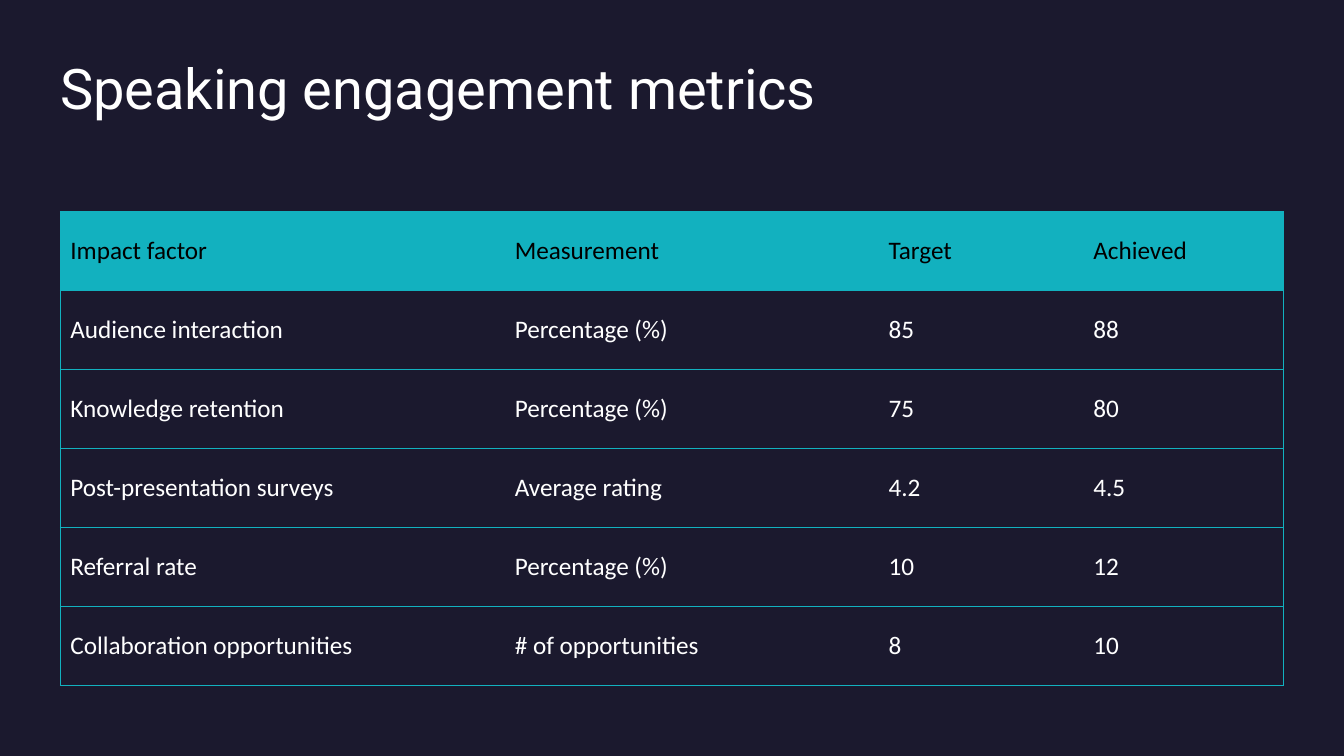
import pptx
import pptx.dml.color
import pptx.enum.text
import pptx.oxml
import pptx.oxml.ns
import pptx.util
from pptx.util import Cm

NAVY = pptx.dml.color.RGBColor(0x1B, 0x19, 0x2E)
TEAL = pptx.dml.color.RGBColor(0x12, 0xB1, 0xBF)
WHITE = pptx.dml.color.RGBColor(0xFF, 0xFF, 0xFF)
BLACK = pptx.dml.color.RGBColor(0x00, 0x00, 0x00)

LEFT, WIDTH = Cm(1.52), Cm(30.81)
COLUMN_WIDTHS = [Cm(11.2), Cm(9.42), Cm(5.16), Cm(5.03)]
ROW_HEIGHT = Cm(1.99)
BORDER_WIDTH = pptx.util.Pt(0.5)

METRICS = [
    ["Impact factor", "Measurement", "Target", "Achieved"],
    ["Audience interaction", "Percentage (%)", "85", "88"],
    ["Knowledge retention", "Percentage (%)", "75", "80"],
    ["Post-presentation surveys", "Average rating", "4.2", "4.5"],
    ["Referral rate", "Percentage (%)", "10", "12"],
    ["Collaboration opportunities", "# of opportunities", "8", "10"],
]


def set_format(target, values):
    for attribute, value in values.items():
        setattr(target, attribute, value)


def write_text(frame, text, size, font_name, color):
    run = frame.paragraphs[0].add_run()
    run.text = text
    set_format(run.font, {"size": pptx.util.Pt(size), "name": font_name, "bold": False})
    run.font.color.rgb = color


def add_title(slide, text):
    frame = slide.shapes.add_textbox(LEFT, Cm(1.55), WIDTH, Cm(3.3)).text_frame
    set_format(frame, {
        "word_wrap": True,
        "vertical_anchor": pptx.enum.text.MSO_ANCHOR.TOP,
        "margin_left": 0,
        "margin_right": 0,
        "margin_top": 0,
        "margin_bottom": 0,
    })
    write_text(frame, text, 40, "Roboto", WHITE)
    frame.paragraphs[0].line_spacing = 0.9


def set_borders(cell, visible_sides):
    properties = cell._tc.get_or_add_tcPr()
    for side in "LRTB":
        if side in visible_sides:
            paint = f'<a:solidFill><a:srgbClr val="{TEAL}"/></a:solidFill>'
        else:
            paint = "<a:noFill/>"
        properties.append(pptx.oxml.parse_xml(
            f'<a:ln{side} {pptx.oxml.ns.nsdecls("a")} w="{BORDER_WIDTH}">{paint}</a:ln{side}>'
        ))


def add_metrics_table(slide, rows):
    last_column = len(COLUMN_WIDTHS) - 1
    metrics = slide.shapes.add_table(
        len(rows), len(COLUMN_WIDTHS), LEFT, Cm(5.33), WIDTH, ROW_HEIGHT * len(rows)
    ).table
    metrics.horz_banding = False
    for column, width in zip(metrics.columns, COLUMN_WIDTHS):
        column.width = width
    for row_index, labels in enumerate(rows):
        metrics.rows[row_index].height = ROW_HEIGHT
        is_header = row_index == 0
        for column_index, label in enumerate(labels):
            cell = metrics.cell(row_index, column_index)
            cell.vertical_anchor = pptx.enum.text.MSO_ANCHOR.MIDDLE
            sides = "TB"
            if column_index == 0:
                sides += "L"
            if column_index == last_column:
                sides += "R"
            set_borders(cell, sides)
            if is_header:
                cell.fill.solid()
                cell.fill.fore_color.rgb = TEAL
            else:
                cell.fill.background()
            write_text(cell.text_frame, label, 18, "Calibri", BLACK if is_header else WHITE)


def main():
    deck = pptx.Presentation()
    set_format(deck, {"slide_width": Cm(33.87), "slide_height": Cm(19.05)})
    slide = deck.slides.add_slide(deck.slide_layouts[6])
    slide.background.fill.solid()
    slide.background.fill.fore_color.rgb = NAVY
    add_title(slide, "Speaking engagement metrics")
    add_metrics_table(slide, METRICS)
    deck.save("out.pptx")


if __name__ == "__main__":
    main()
